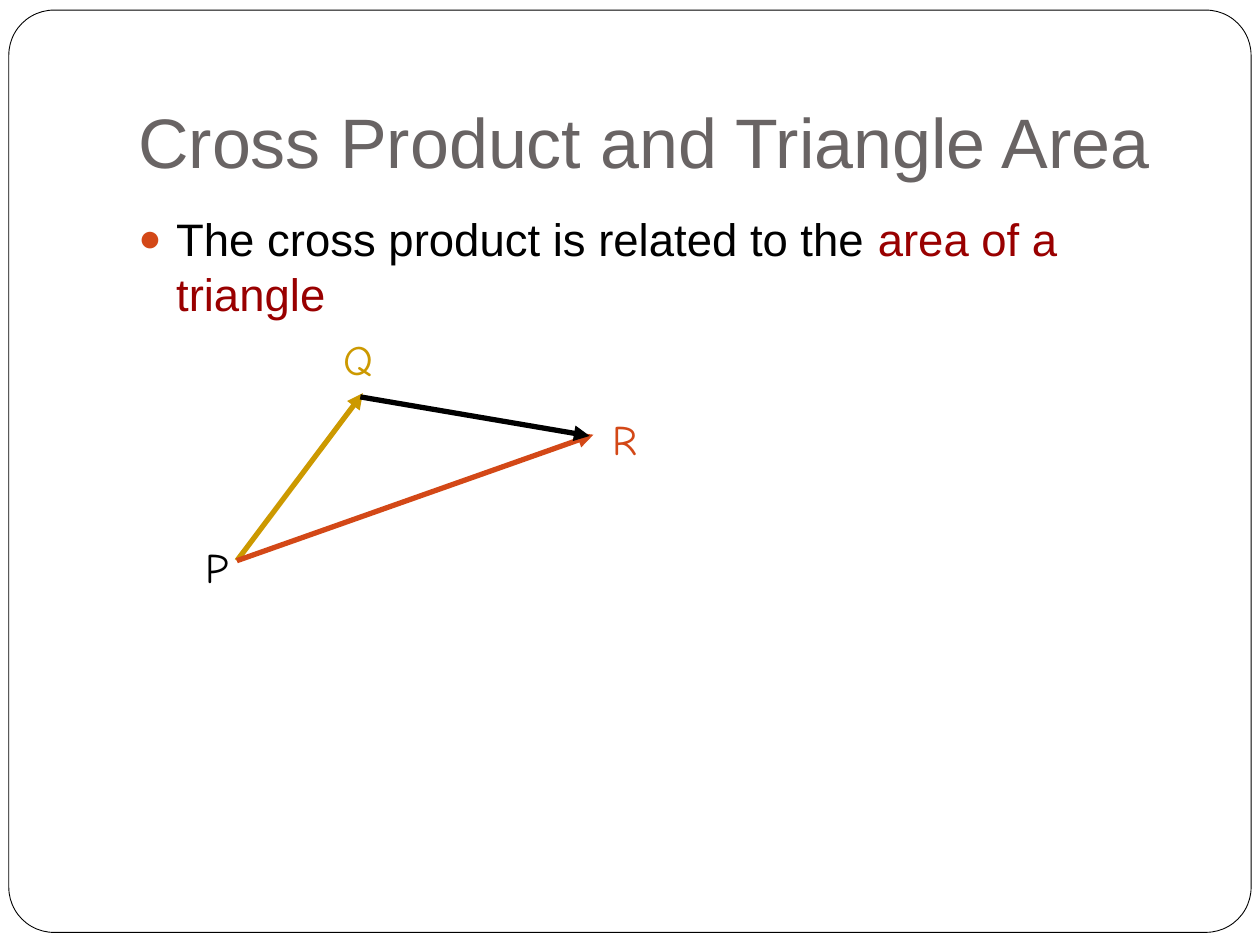
from lxml import etree
from pptx import Presentation
from pptx.dml.color import RGBColor
from pptx.enum.shapes import MSO_CONNECTOR, MSO_SHAPE
from pptx.enum.text import MSO_ANCHOR, MSO_AUTO_SIZE
from pptx.oxml.ns import qn
from pptx.util import Inches, Pt

STRAIGHT = MSO_CONNECTOR.STRAIGHT
ROUNDED = MSO_SHAPE.ROUNDED_RECTANGLE
TOP, BOTTOM = MSO_ANCHOR.TOP, MSO_ANCHOR.BOTTOM
GROW = MSO_AUTO_SIZE.SHAPE_TO_FIT_TEXT

BLACK = RGBColor(0x00, 0x00, 0x00)
WHITE = RGBColor(0xFF, 0xFF, 0xFF)
GRAY = RGBColor(0x69, 0x64, 0x64)
ORANGE = RGBColor(0xD3, 0x48, 0x17)
GOLD = RGBColor(0xCC, 0x99, 0x00)
DARK_RED = RGBColor(0x99, 0x00, 0x00)

SLIDE_WIDTH, SLIDE_HEIGHT = Inches(10), Inches(7.5)
CONTENT_LEFT, CONTENT_WIDTH = 0.1, 0.85


def across(share):
    """Turn a share of the slide width into a length."""
    return round(SLIDE_WIDTH * share)


def down(share):
    """Turn a share of the slide height into a length."""
    return round(SLIDE_HEIGHT * share)


def add_frame(slide):
    """Draw the thin rounded border around the slide."""
    frame = slide.shapes.add_shape(
        ROUNDED, Inches(0.07), Inches(0.08), Inches(9.86), Inches(7.32))
    frame.adjustments[0] = 0.049
    frame.shadow.inherit = False
    frame.fill.solid()
    frame.fill.fore_color.rgb = WHITE
    frame.line.color.rgb = BLACK
    frame.line.width = Pt(0.5)


def add_text(slide, box, runs, size, font="Arial", anchor=TOP, wrap=True):
    """Add a one-paragraph text box from (text, colour) runs."""
    text_box = slide.shapes.add_textbox(*box)
    frame = text_box.text_frame
    frame.word_wrap = wrap
    frame.vertical_anchor = anchor
    for text, color in runs:
        run = frame.paragraphs[0].add_run()
        run.text = text
        run.font.name = font
        run.font.size = Pt(size)
        run.font.color.rgb = color
    return frame


def add_bullet(paragraph, color, indent):
    """Give a paragraph a coloured round bullet with a hanging indent."""
    properties = paragraph._p.get_or_add_pPr()
    properties.set("marL", str(indent))
    properties.set("indent", str(-indent))
    bullet_color = etree.SubElement(properties, qn("a:buClr"))
    etree.SubElement(bullet_color, qn("a:srgbClr"), val=str(color))
    etree.SubElement(properties, qn("a:buSzPct"), val="85000")
    etree.SubElement(properties, qn("a:buFont"), typeface="Arial")
    etree.SubElement(properties, qn("a:buChar"), char="●")


def add_vector(slide, start, end, color):
    """Draw an arrow between two points given in inches."""
    vector = slide.shapes.add_connector(
        STRAIGHT, *(Inches(value) for value in start + end))
    vector.line.color.rgb = color
    vector.line.width = Pt(3)
    etree.SubElement(vector.line._get_or_add_ln(), qn("a:tailEnd"), type="triangle")
    etree.SubElement(vector._element.spPr, qn("a:effectLst"))


def add_vertex_label(slide, letter, left, top, width, color):
    """Name a corner of the triangle."""
    box = (Inches(left), Inches(top), Inches(width), Inches(0.5))
    frame = add_text(slide, box, [(letter, color)], 24, "Comic Neue", wrap=False)
    frame.auto_size = GROW


def add_triangle(slide):
    """Draw the vectors PQ, PR and QR with their corner labels."""
    p = (1.88, 4.45)
    add_vector(slide, p, (2.88, 3.12), GOLD)
    add_vector(slide, p, (4.71, 3.45), ORANGE)
    add_vector(slide, (2.86, 3.15), (4.68, 3.46), BLACK)
    add_vertex_label(slide, "Q", 2.63, 2.6, 0.49, GOLD)
    add_vertex_label(slide, "R", 4.76, 3.23, 0.41, ORANGE)
    add_vertex_label(slide, "P", 1.53, 4.25, 0.37, BLACK)


def main():
    """Build the slide and save it."""
    deck = Presentation()
    deck.slide_width, deck.slide_height = SLIDE_WIDTH, SLIDE_HEIGHT
    slide = deck.slides.add_slide(deck.slide_layouts[6])
    add_frame(slide)

    left, width = across(CONTENT_LEFT), across(CONTENT_WIDTH)
    title = add_text(
        slide, (left, down(0.04), width, Inches(1.25)),
        [("Cross Product and Triangle Area", GRAY)], 40, anchor=BOTTOM)
    title.margin_bottom = Inches(0.1)

    statement = add_text(
        slide, (left, down(0.21), width, Inches(5)),
        [("The cross product is related to the ", BLACK),
         ("area of a triangle", DARK_RED)], 26)
    statement.margin_top = Inches(0.1)
    add_bullet(statement.paragraphs[0], ORANGE, Inches(0.3))

    add_triangle(slide)
    deck.save("out.pptx")


if __name__ == "__main__":
    main()
